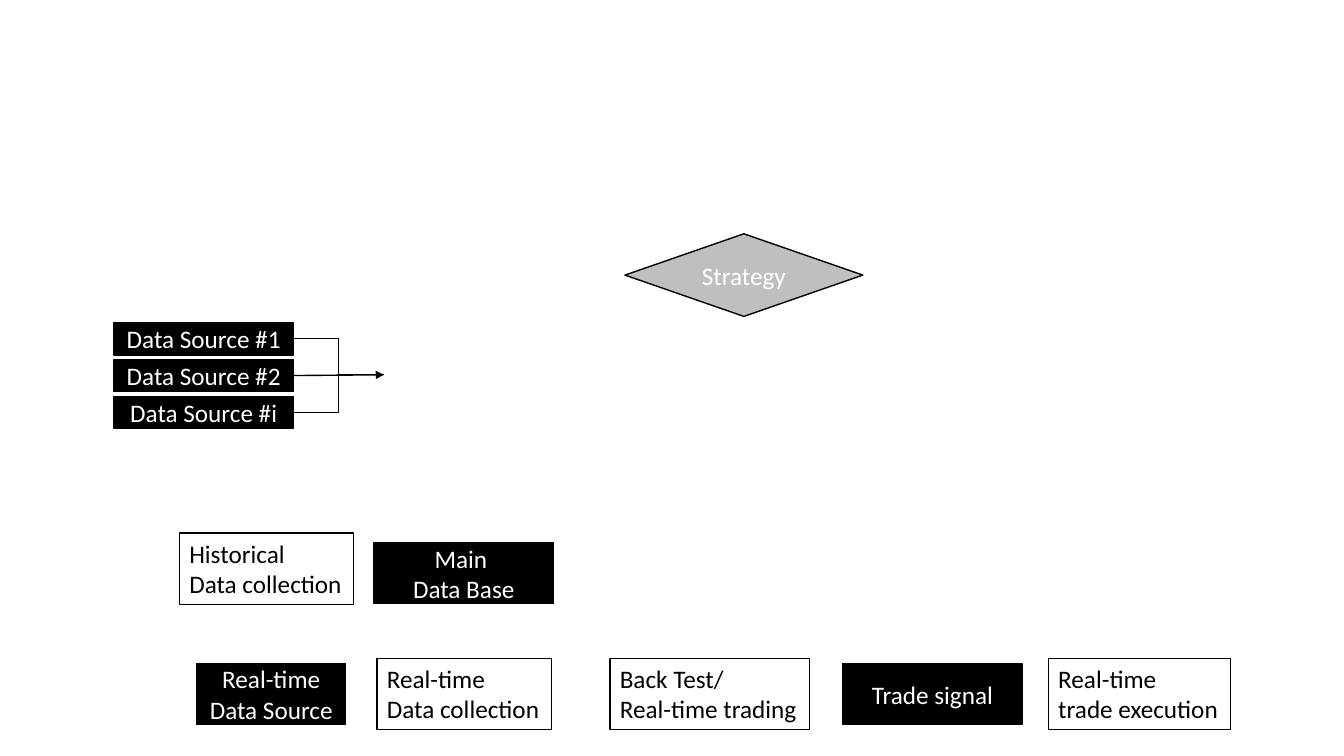
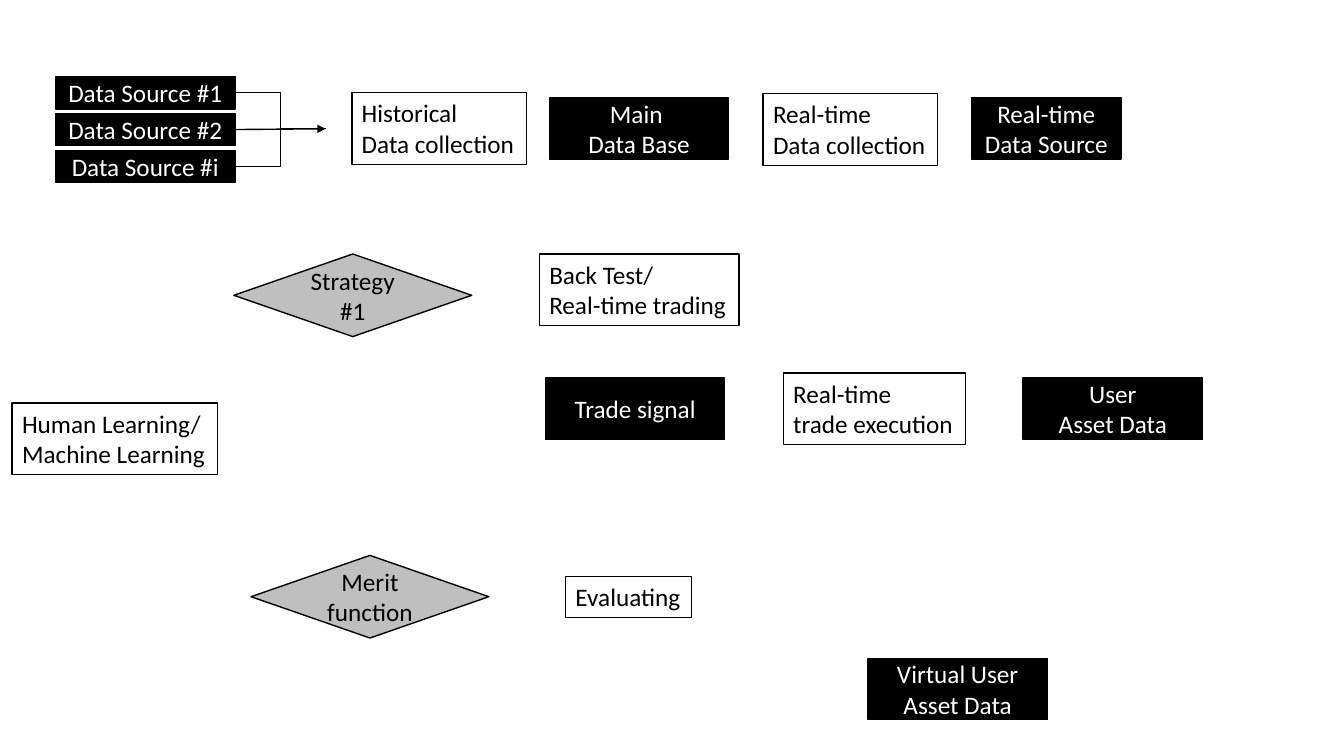
from typing import NamedTuple

from lxml.etree import SubElement as Sub
from pptx import Presentation as Deck
from pptx.dml.color import RGBColor as Rgb
from pptx.enum.shapes import MSO_CONNECTOR as Link, MSO_SHAPE as Form
from pptx.enum.text import MSO_ANCHOR as Anchor, MSO_AUTO_SIZE as Fit, PP_ALIGN as Align
from pptx.oxml.ns import qn
from pptx.util import Inches, Pt

# Shared style; the grid has 100 columns and 100 rows
HUES = {"black": "000000", "white": "FFFFFF", "grey": "BFBFBF"}
FONT, SIZE = "Calibri", 18
WIDE, HIGH = Inches(13.333), Inches(7.5)
PAD, LEAD = 1.33, 4.07  # rows around and per line of text in a step
BAR, PITCH = 4.27, 4.87  # source bar height and spacing
REACH, LIFT = 6.75, 0.1  # arrow length and rise


class Look(NamedTuple):
    form: Form
    fill: str | None
    ink: str
    high: float | None = None  # None: height follows the lines of text


class Block(NamedTuple):
    text: str
    look: Look
    wide: float = 13.35


class Spot(NamedTuple):
    block: Block
    col: float
    row: float


class Page(NamedTuple):
    col: float  # top left of the source stack
    row: float
    spots: list[Spot]


DATA = Look(Form.RECTANGLE, "black", "white", 8.13)
FEED = DATA._replace(high=BAR)
STEP = Look(Form.RECTANGLE, None, "black")
RULE = Look(Form.FLOWCHART_DECISION, "grey", "black", 10.93)

# Blocks of the trading flow
FEEDS = [Block(f"Data Source #{key}", FEED) for key in "12i"]
LIVE = Block("Real-time\nData Source", DATA, 11.1)
FETCH = Block("Real-time\nData collection", STEP, 12.98)
PAST = Block("Historical\nData collection", STEP, 12.98)
BASE = Block("Main \nData Base", DATA)
TEST = Block("Back Test/\nReal-time trading", STEP, 14.85)
SIGNAL = Block("Trade signal", DATA)
TRADE = Block("Real-time \ntrade execution", STEP, 13.58)
PLAN = Block("Strategy", RULE._replace(ink="white"), 17.7)
PLAN_ONE = Block("Strategy #1", RULE, 17.7)
MERIT = Block("Merit function", RULE, 17.7)
USER = Block("User\nAsset Data", DATA)
VIRTUAL = Block("Virtual User\nAsset Data", DATA)
SCORE = Block("Evaluating", STEP, 9.38)
LEARN = Block("Human Learning/\nMachine Learning", STEP, 15.3)

PAGES = [
    Page(8.48, 42.67, [
        Spot(LIVE, 14.63, 87.73),
        Spot(FETCH, 28.05, 87.07),
        Spot(PAST, 13.35, 70.53),
        Spot(BASE, 27.83, 71.73),
        Spot(TEST, 45.38, 87.07),
        Spot(SIGNAL, 62.7, 87.73),
        Spot(TRADE, 78, 87.07),
        Spot(PLAN, 46.5, 30.93),
    ]),
    Page(4.13, 10.13, [
        Spot(LIVE, 72.3, 12.93),
        Spot(FETCH, 56.78, 12.4),
        Spot(PAST, 26.18, 12.27),
        Spot(BASE, 40.88, 12.93),
        Spot(TEST, 40.13, 33.6),
        Spot(SIGNAL, 40.58, 50),
        Spot(TRADE, 58.28, 49.33),
        Spot(PLAN_ONE, 17.4, 33.6),
        Spot(VIRTUAL, 64.58, 87.07),
        Spot(USER, 76.13, 50),
        Spot(SCORE, 42.08, 76.27),
        Spot(MERIT, 18.68, 73.47),
        Spot(LEARN, 0.9, 53.33),
    ]),
]


def hue(name: str) -> Rgb:
    return Rgb.from_string(HUES[name])


def across(cols: float) -> int:
    return round(WIDE * cols / 100)


def down(rows: float) -> int:
    return round(HIGH * rows / 100)


def write(shape, text: str, *, ink: str, align: Align, anchor: Anchor,
          wrap: bool, fit: Fit) -> None:
    frame = shape.text_frame
    frame.word_wrap, frame.auto_size = wrap, fit
    frame.vertical_anchor = anchor
    para = frame.paragraphs[0]
    para.text, para.alignment = text, align
    for run in para.runs:
        run.font.name, run.font.size = FONT, Pt(SIZE)
        run.font.color.rgb = hue(ink)


def edge(line) -> None:
    line.color.rgb, line.width = hue("black"), Pt(1)


def draw(slide, spot: Spot) -> None:
    block, look = spot.block, spot.block.look
    high = look.high or PAD + LEAD * len(block.text.split("\n"))
    shape = slide.shapes.add_shape(look.form, across(spot.col), down(spot.row),
                                   across(block.wide), down(high))
    shape.shadow.inherit = False
    edge(shape.line)
    if look.fill:
        shape.fill.solid()
        shape.fill.fore_color.rgb = hue(look.fill)
        write(shape, block.text, ink=look.ink, align=Align.CENTER,
              anchor=Anchor.MIDDLE, wrap=True, fit=Fit.NONE)
    else:
        shape.fill.background()
        write(shape, block.text, ink=look.ink, align=Align.LEFT,
              anchor=Anchor.TOP, wrap=False, fit=Fit.SHAPE_TO_FIT_TEXT)


def join(slide, kind: Link, col: float, start: float, end: float) -> None:
    link = slide.shapes.add_connector(kind, across(col), down(start),
                                      across(col + REACH), down(end))
    edge(link.line)
    if kind == Link.STRAIGHT:
        Sub(link.line._get_or_add_ln(), qn("a:tailEnd"), type="triangle")
    Sub(link._element.spPr, qn("a:effectLst"))


def stack(slide, col: float, row: float) -> None:
    """Draw the sources and the lines that merge into one arrow."""
    end = row + PITCH + BAR / 2 - LIFT
    for rank, feed in enumerate(FEEDS):
        top = row + rank * PITCH
        draw(slide, Spot(feed, col, top))
        kind = Link.STRAIGHT if rank == 1 else Link.ELBOW
        join(slide, kind, col + feed.wide, top + BAR / 2, end)


# Build the slides
deck = Deck()
deck.slide_width, deck.slide_height = WIDE, HIGH
for page in PAGES:
    slide = deck.slides.add_slide(deck.slide_layouts[6])
    stack(slide, page.col, page.row)
    for spot in page.spots:
        draw(slide, spot)
deck.save("out.pptx")
